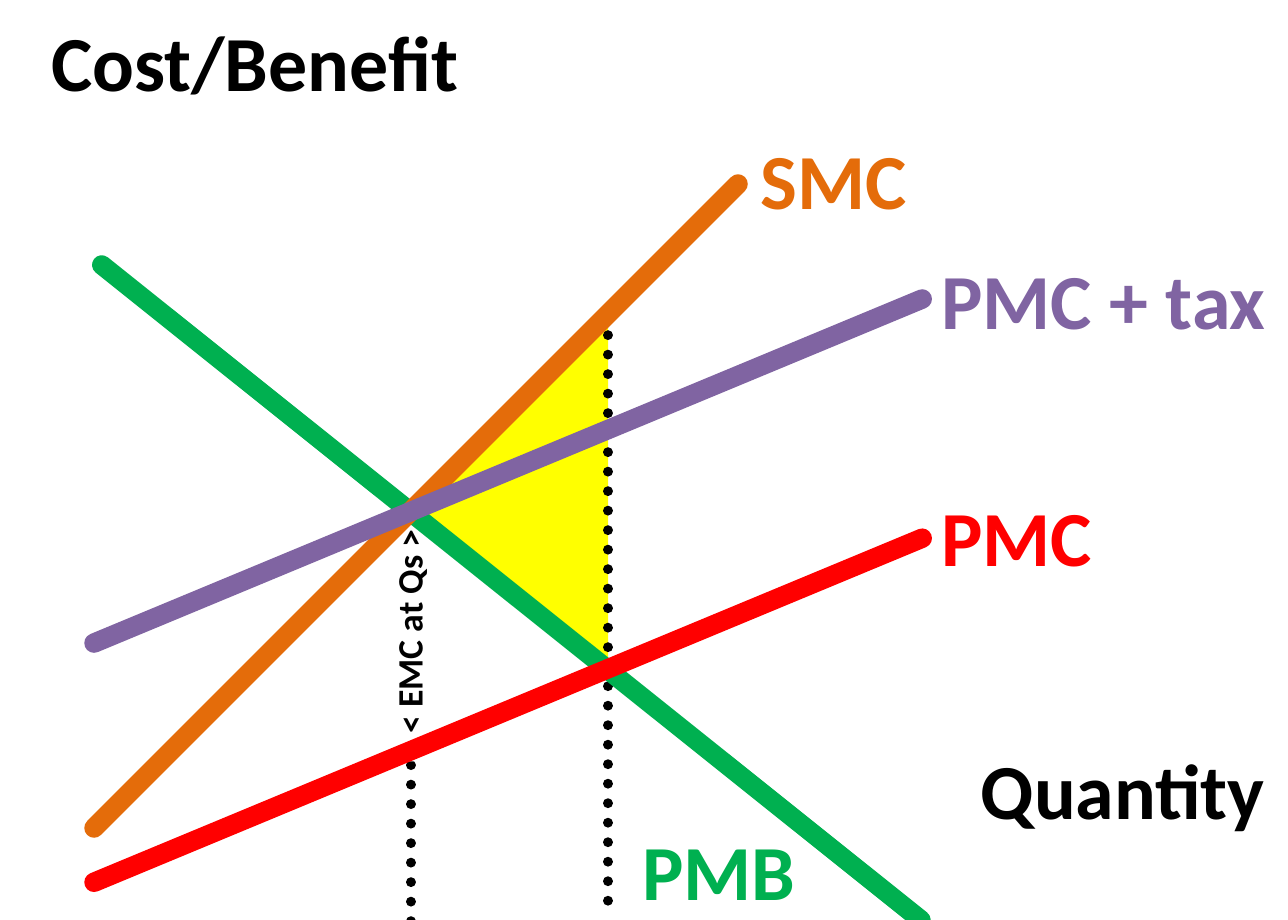
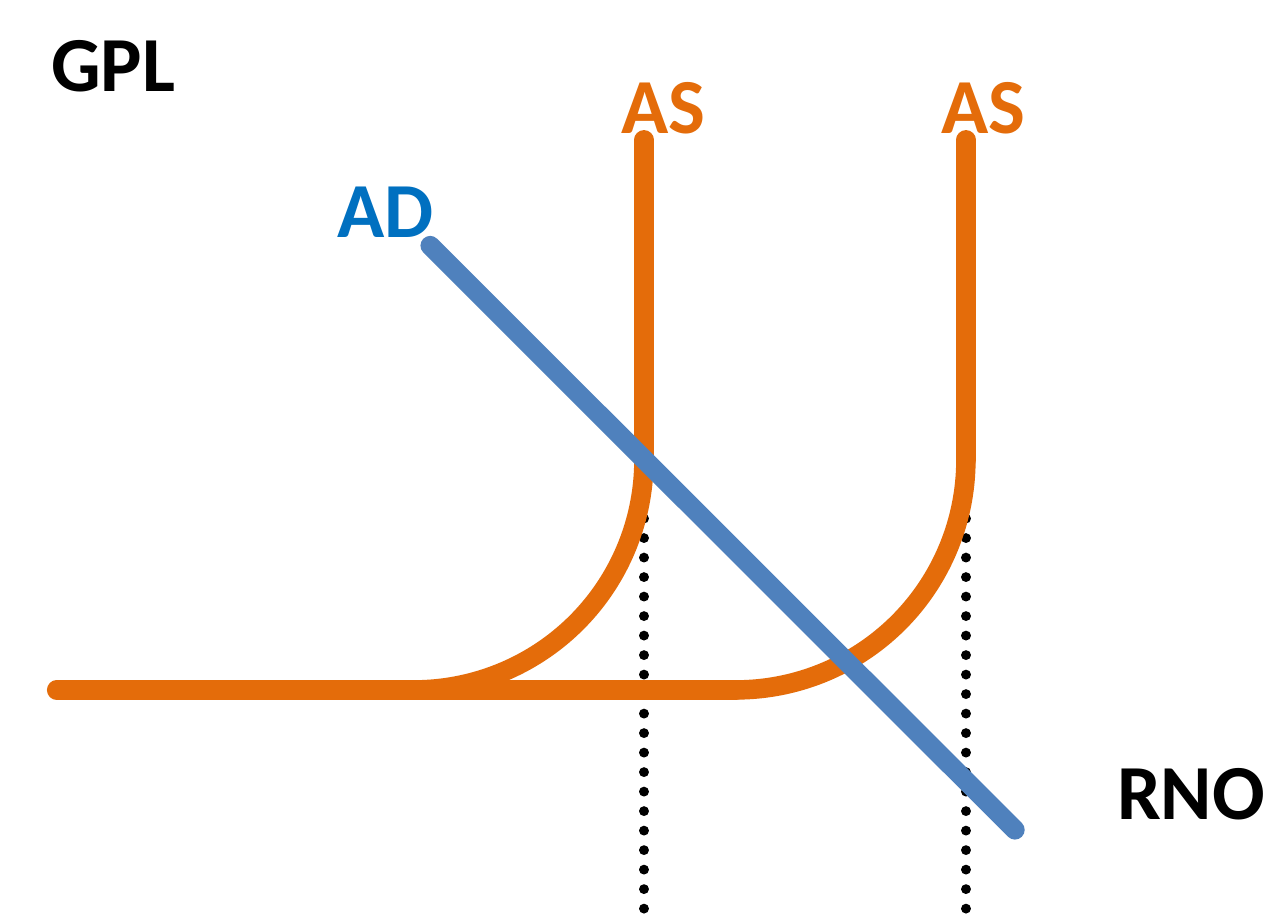
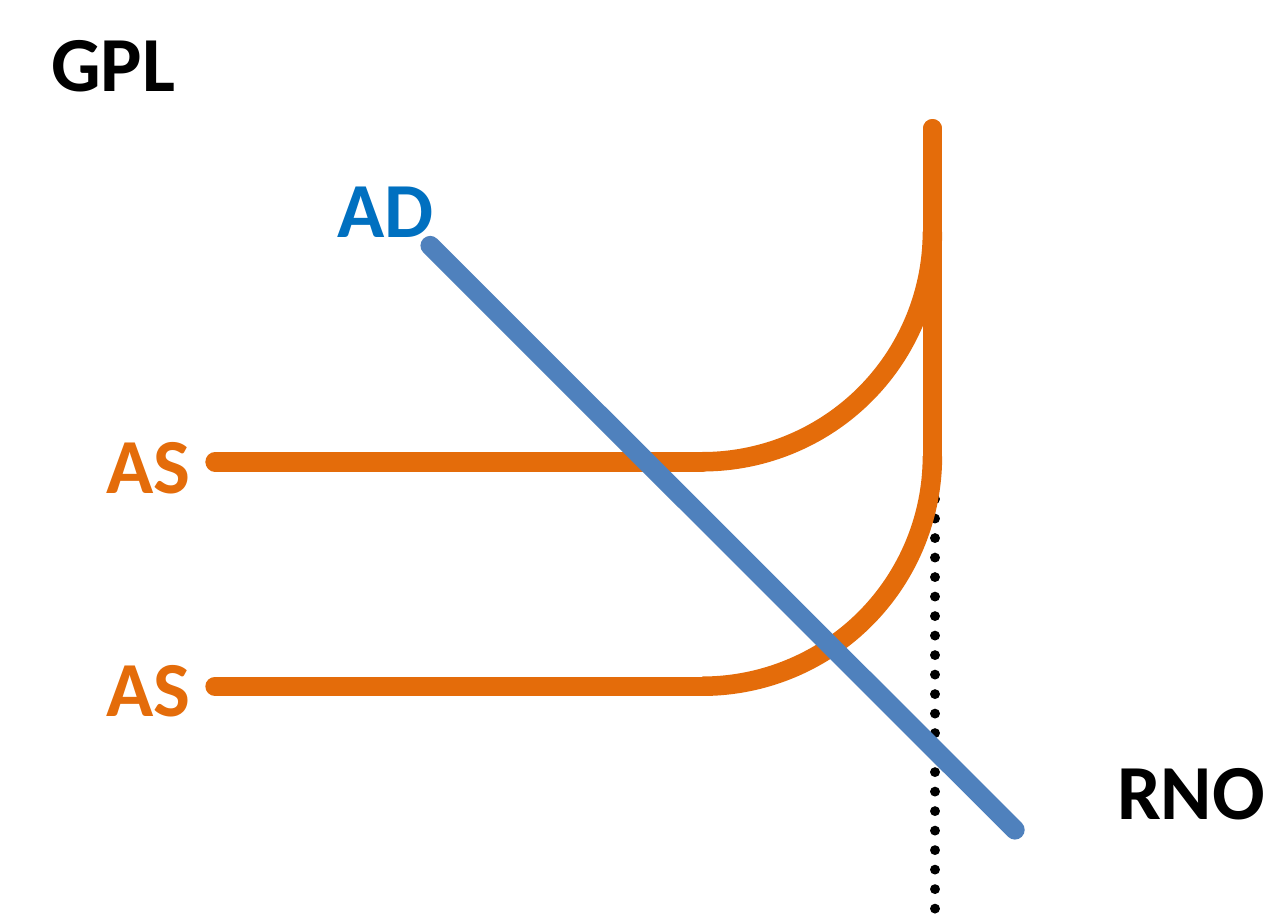
import lxml.etree
import pptx
import pptx.dml.color
import pptx.enum.dml
import pptx.enum.shapes
import pptx.enum.text
import pptx.oxml.ns
import pptx.util

COLOURS = {
    "black": "000000", "white": "FFFFFF", "yellow": "FFFF00",
    "orange": "E46C0A", "purple": "8064A2", "red": "FF0000",
    "green": "00B050", "demand line": "4F81BD", "demand label": "0070C0",
}
RGB = {name: pptx.dml.color.RGBColor.from_string(value) for name, value in COLOURS.items()}
ALIGN = pptx.enum.text.PP_ALIGN
SHAPES = pptx.enum.shapes.MSO_SHAPE
CURVE_WIDTH = pptx.util.Pt(6)
DOT_WIDTH = pptx.util.Pt(3)

presentation = pptx.Presentation()
presentation.slide_width = pptx.util.Cm(14)
presentation.slide_height = pptx.util.Cm(10)
blank = presentation.slide_layouts[6]
column = presentation.slide_width / 100
row = presentation.slide_height / 100


def draw_line(shapes, colour, x1, y1, x2, y2, dotted=False):
    connector = shapes.add_connector(
        pptx.enum.shapes.MSO_CONNECTOR.STRAIGHT,
        round(x1 * column), round(y1 * row), round(x2 * column), round(y2 * row))
    connector.line.color.rgb = RGB[colour]
    connector.line.width = DOT_WIDTH if dotted else CURVE_WIDTH
    if dotted:
        connector.line.dash_style = pptx.enum.dml.MSO_LINE.ROUND_DOT
    connector.get_or_add_ln().set("cap", "rnd")
    lxml.etree.SubElement(connector.element.spPr, pptx.oxml.ns.qn("a:effectLst"))


def write_label(slide, text, colour, left, top, width, height=12.8, size=24, align=ALIGN.LEFT):
    label = slide.shapes.add_textbox(
        round(left * column), round(top * row), round(width * column), round(height * row))
    label.text_frame.word_wrap = False
    label.text_frame.auto_size = pptx.enum.text.MSO_AUTO_SIZE.SHAPE_TO_FIT_TEXT
    paragraph = label.text_frame.paragraphs[0]
    paragraph.alignment = align
    run = paragraph.add_run()
    run.text = text
    run.font.name = "Calibri"
    run.font.size = pptx.util.Pt(size)
    run.font.bold = True
    run.font.color.rgb = RGB[colour]
    return label


slide = presentation.slides.add_slide(blank)
draw_line(slide.shapes, "black", 31.9, 55.6, 31.9, 100.3, dotted=True)
externality = write_label(slide, "< EMC at Qs >", "black", 21.9, 65.2, 19.8, 7.4, 11, ALIGN.RIGHT)
externality.rotation = 270
externality.fill.solid()
externality.fill.fore_color.rgb = RGB["white"]

welfare_loss = slide.shapes.add_shape(
    SHAPES.ISOSCELES_TRIANGLE,
    round(25.9 * column), round(42.6 * row), round(27.2 * column), round(21.6 * row))
welfare_loss.adjustments[0] = 0.444
welfare_loss.rotation = 270
welfare_loss.shadow.inherit = False
welfare_loss.fill.solid()
welfare_loss.fill.fore_color.rgb = RGB["yellow"]
welfare_loss.line.fill.background()
draw_line(slide.shapes, "black", 47.2, 34.3, 47.2, 99, dotted=True)

for colour, *ends in [
    ("green", 7.9, 28.8, 71.5, 100),
    ("orange", 7.3, 90, 57.3, 20),
    ("purple", 71.6, 32.5, 7.3, 69.9),
    ("red", 71.6, 58.5, 7.3, 95.9),
]:
    draw_line(slide.shapes, colour, *ends)

write_label(slide, "Cost/Benefit", "black", 2.2, 0.2, 35.8)
write_label(slide, "Quantity", "black", 74, 79.4, 26, align=ALIGN.RIGHT)
for text, colour, left, top, width in [
    ("SMC", "orange", 57.3, 13.1, 15.4),
    ("PMC", "red", 71.3, 51.9, 15.4),
    ("PMB", "green", 48.1, 88.2, 15.6),
    ("PMC + tax", "purple", 71.3, 26.1, 29),
]:
    write_label(slide, text, colour, left, top, width)

radius = 25 * row
radius_columns = radius / column
supply_slides = [
    {
        "outputs": [75, 50],
        "curves": [(19.4, 75, 75, 15.2), (4.4, 50, 75, 15.2)],
        "labels": [(71.3, 4.8), (46.5, 4.8)],
    },
    {
        "outputs": [72.6],
        "curves": [(16.7, 72.4, 50.2, 14), (16.7, 72.4, 74.6, 14)],
        "labels": [(6.5, 68.2), (6.5, 43.9)],
    },
]
for supply in supply_slides:
    slide = presentation.slides.add_slide(blank)
    for x in supply["outputs"]:
        draw_line(slide.shapes, "black", x, 50, x, 100, dotted=True)

    for start, capacity, price, top in supply["curves"]:
        curve = slide.shapes.add_group_shape()
        bend = curve.shapes.add_shape(
            SHAPES.ARC, round(capacity * column - 2 * radius), round(price * row - 2 * radius),
            round(2 * radius), round(2 * radius))
        bend.adjustments[0] = 0
        bend.adjustments[1] = 54
        bend.shadow.inherit = False
        bend.fill.background()
        bend.line.color.rgb = RGB["orange"]
        bend.line.width = CURVE_WIDTH
        draw_line(curve.shapes, "orange", start, price, capacity - radius_columns, price)
        draw_line(curve.shapes, "orange", capacity, price - 25, capacity, top)

    write_label(slide, "GPL", "black", 2.2, 0.2, 13.4)
    write_label(slide, "RNO", "black", 84.8, 79.4, 15.2, align=ALIGN.RIGHT)
    for left, top in supply["labels"]:
        write_label(slide, "AS", "orange", left, top, 10.2)
    draw_line(slide.shapes, "demand line", 33.4, 26.7, 78.8, 90.2)
    write_label(slide, "AD", "demand label", 24.4, 16.1, 11.3)

presentation.save("out.pptx")
